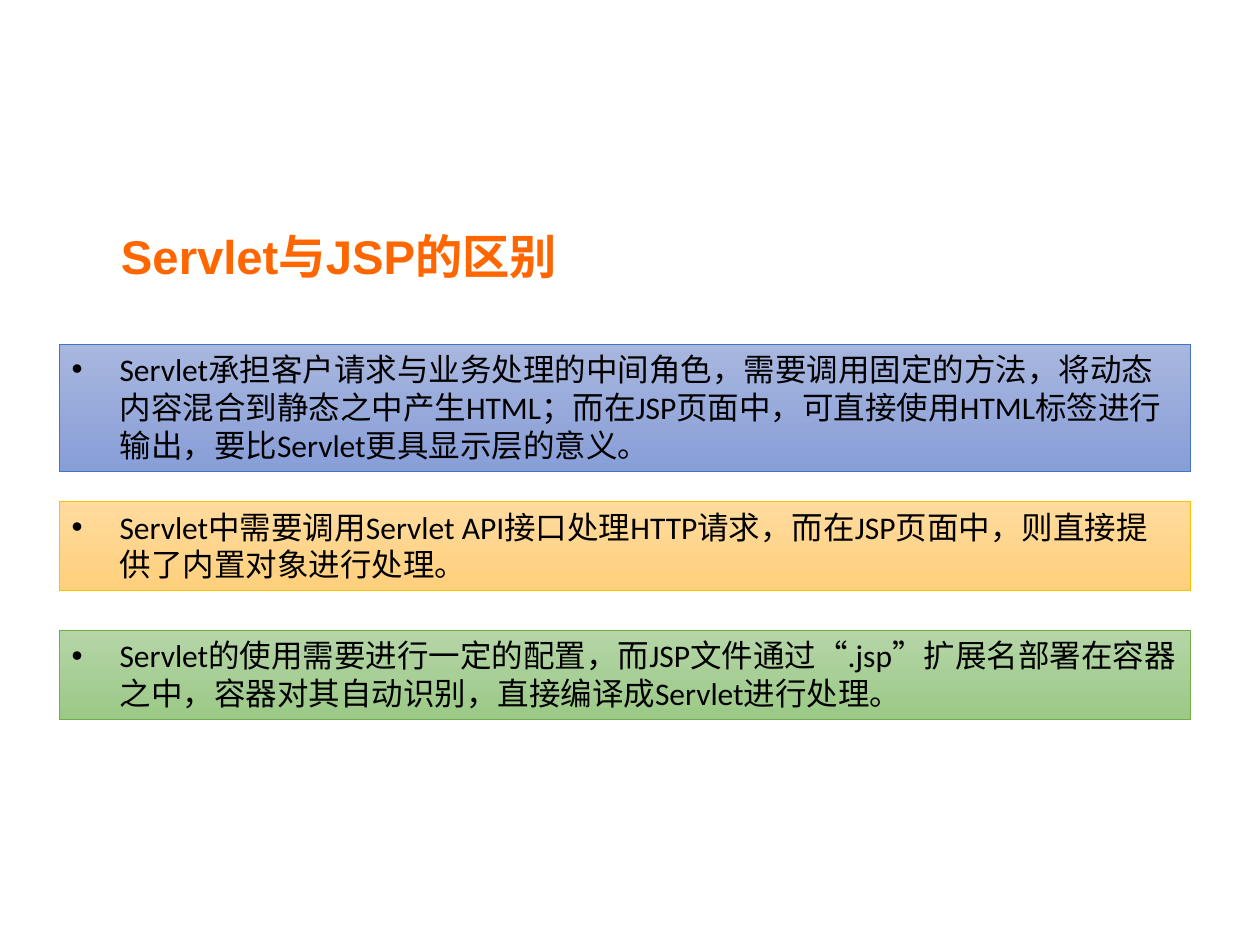
from lxml.etree import SubElement
from pptx import Presentation
from pptx.dml.color import RGBColor
from pptx.enum.shapes import MSO_SHAPE
from pptx.enum.text import MSO_ANCHOR, PP_ALIGN
from pptx.oxml.ns import qn
from pptx.util import Inches, Pt

TITLE = "Servlet与JSP的区别"
DIFFERENCES = [
    ("Servlet承担客户请求与业务处理的中间角色，需要调用固定的方法，将动态内容混合到静态之中产生HTML；而在JSP页面中，可直接使用HTML标签进行输出，要比Servlet更具显示层的意义。",
     2.73, 1.01, ("A8B7DF", "889ED7"), "4472C4"),
    ("Servlet中需要调用Servlet API接口处理HTTP请求，而在JSP页面中，则直接提供了内置对象进行处理。",
     3.98, 0.71, ("FFDB9E", "FFD07C"), "FFC000"),
    ("Servlet的使用需要进行一定的配置，而JSP文件通过“.jsp”扩展名部署在容器之中，容器对其自动识别，直接编译成Servlet进行处理。",
     5, 0.71, ("B5D5A7", "9CC987"), "70AD47"),
]
PANEL_LEFT, PANEL_WIDTH = 0.47, 8.98
BULLET_INDENT = 0.38


def paint(color_format, hex_color):
    color_format.rgb = RGBColor.from_string(hex_color)


def style_font(font, name, size, hex_color, bold=False):
    font.name, font.size, font.bold = name, Pt(size), bold
    paint(font.color, hex_color)


def add_bullet(paragraph):
    properties = paragraph._p.get_or_add_pPr()
    properties.set("marL", str(Inches(BULLET_INDENT)))
    properties.set("indent", str(-Inches(BULLET_INDENT)))
    SubElement(properties, qn("a:buFont"), typeface="Arial")
    SubElement(properties, qn("a:buChar"), char="•")


def add_title(slide):
    title = slide.shapes.title
    title.left, title.top = Inches(0.89), Inches(1.64)
    title.width, title.height = Inches(6.14), Inches(0.77)
    frame = title.text_frame
    frame.text = TITLE
    frame.word_wrap = True
    frame.vertical_anchor = MSO_ANCHOR.MIDDLE
    frame.margin_left = frame.margin_right = Inches(0.07)
    frame.margin_top = frame.margin_bottom = Inches(0.04)
    heading = frame.paragraphs[0]
    heading.alignment = PP_ALIGN.LEFT
    style_font(heading.runs[0].font, "Arial", 27, "FF6600", True)


def add_panel(slide, difference, top, height, shades, outline):
    panel = slide.shapes.add_shape(
        MSO_SHAPE.RECTANGLE, Inches(PANEL_LEFT), Inches(top),
        Inches(PANEL_WIDTH), Inches(height))
    panel.shadow.inherit = False
    panel.fill.gradient()
    panel.fill.gradient_angle = 270
    for stop, shade in zip(panel.fill.gradient_stops, shades):
        paint(stop.color, shade)
    paint(panel.line.color, outline)
    panel.line.width = Pt(0.5)
    frame = panel.text_frame
    frame.text = difference
    frame.word_wrap = True
    frame.vertical_anchor = MSO_ANCHOR.TOP
    paragraph = frame.paragraphs[0]
    paragraph.alignment = PP_ALIGN.LEFT
    add_bullet(paragraph)
    style_font(paragraph.runs[0].font, "Calibri", 18, "000000")


def main():
    deck = Presentation()
    deck.slide_width, deck.slide_height = Inches(10), Inches(7.5)
    slide = deck.slides.add_slide(deck.slide_layouts[5])
    add_title(slide)
    for difference in DIFFERENCES:
        add_panel(slide, *difference)
    deck.save("out.pptx")


if __name__ == "__main__":
    main()
